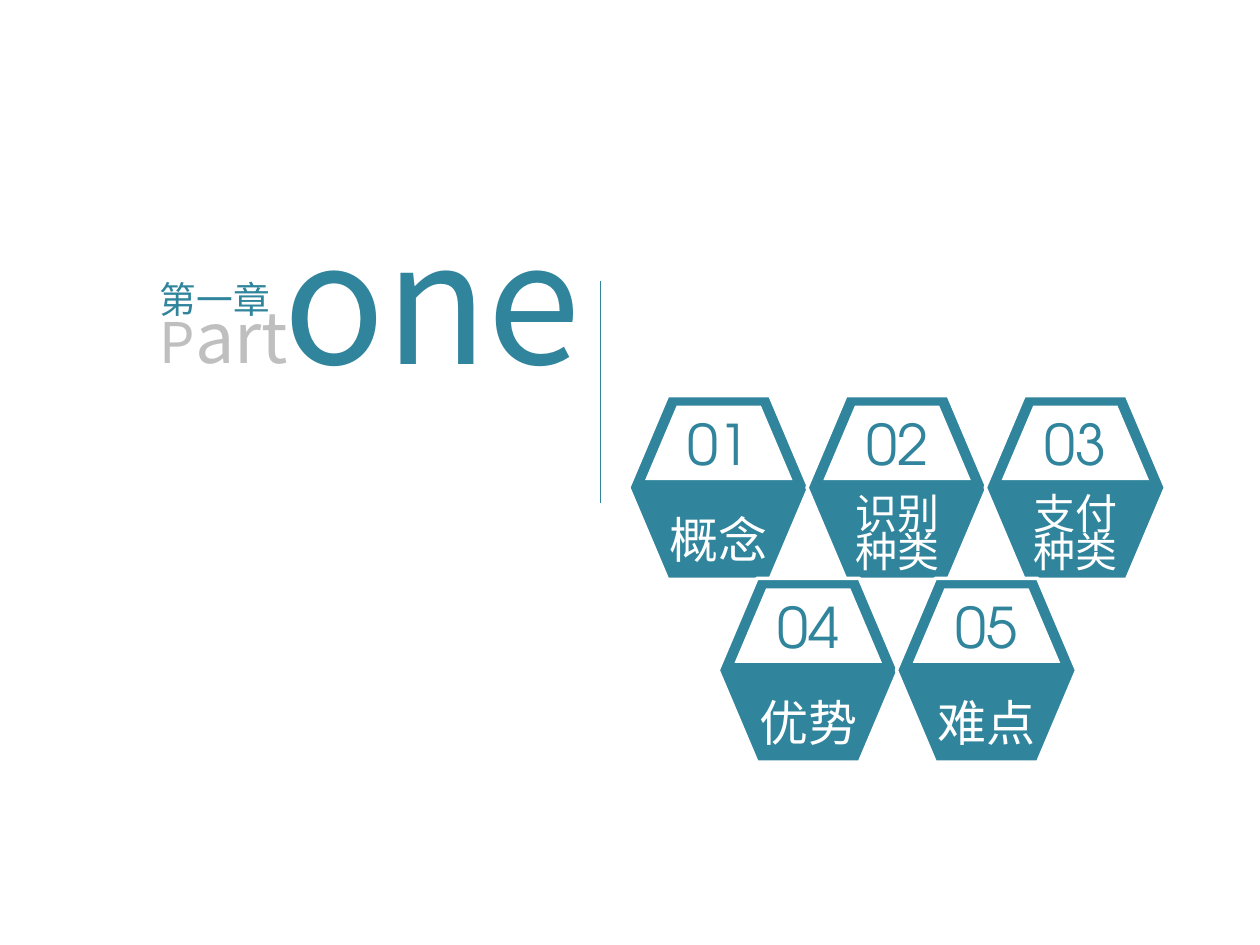
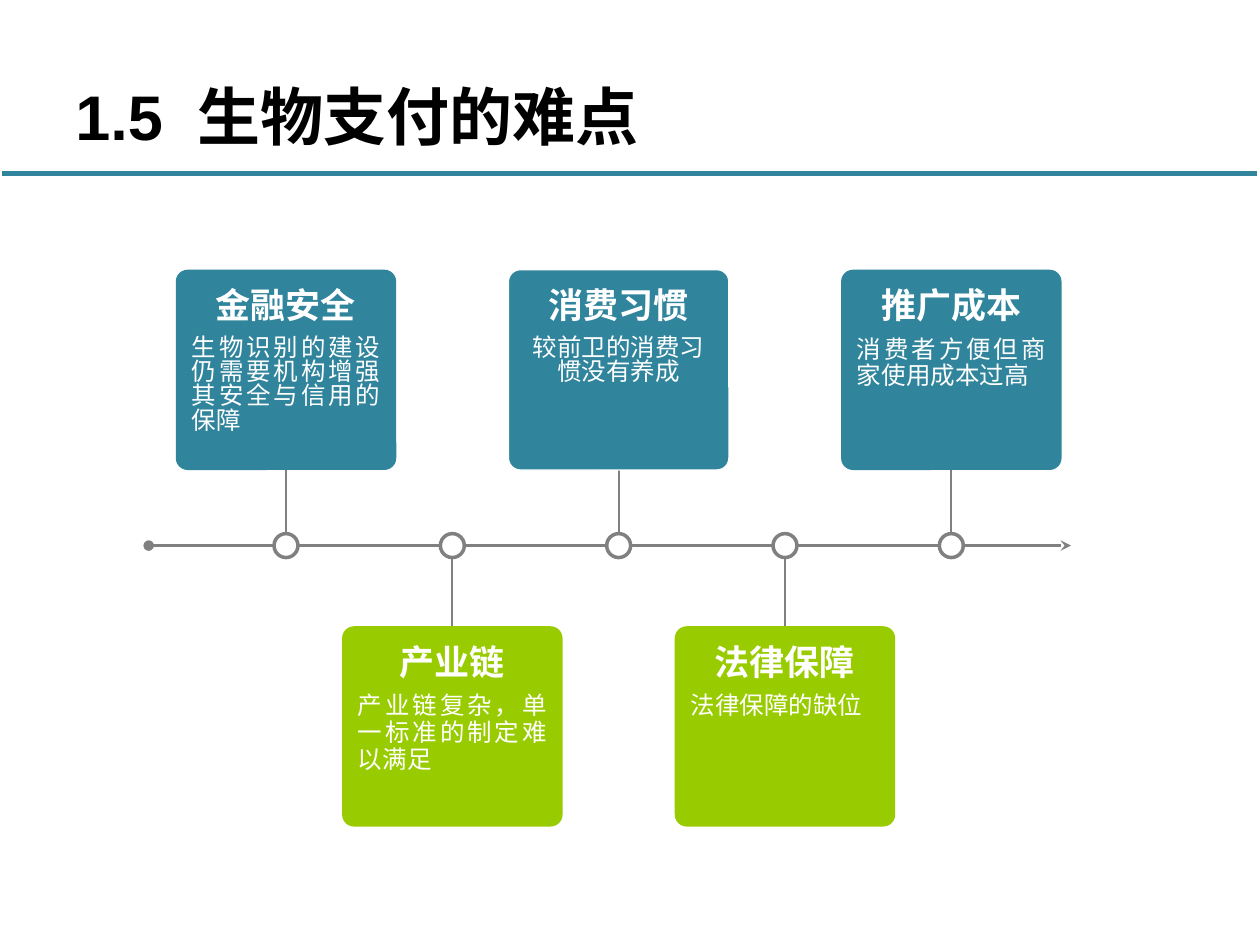
from dataclasses import dataclass

from pptx import Presentation
from pptx.dml.color import RGBColor
from pptx.enum.shapes import MSO_CONNECTOR, MSO_SHAPE
from pptx.enum.text import MSO_ANCHOR, PP_ALIGN
from pptx.oxml.ns import qn
from pptx.oxml.xmlchemy import OxmlElement
from pptx.util import Inches, Pt


@dataclass(frozen=True)
class Theme:
    teal: str = "30849C"
    green: str = "99CC00"
    gray: str = "808080"
    light_gray: str = "BFBFBF"
    white: str = "FFFFFF"
    black: str = "000000"
    chinese: str = "Noto Sans CJK SC"
    display: str = "Noto Sans CJK JP"
    number: str = "TeX Gyre Adventor"
    title: str = "Arial"
    title_size: int = 36
    number_size: int = 32
    heading_size: int = 20
    body_size: int = 14
    chapter_size: int = 21
    word_size: int = 96
    part_sizes: tuple = (32, 40)
    tight: float = 0.9


THEME = Theme()

HEXAGON_SIZE = (1.43, 1.46)
HEXAGON_PITCH = 1.415
# label, type size, line spacing
HEXAGON_ROWS = [
    (4.99, 3.14, [("概念", 28, 1.05), ("识别种类", 24, 0.75), ("支付种类", 24, 0.75)]),
    (5.7, 4.59, [("优势", 28, 1.05), ("难点", 28, 1.05)]),
]

AXIS_Y = 4.33
FIRST_NODE_X, NODE_PITCH, NODE_SIZE = 2.27, 1.32, 0.19
CARD_SIZE = (1.75, 1.59)
UPPER_CARD_Y, LOWER_CARD_Y = 2.14, 4.97
# heading, body, body alignment, body line spacing, outlined
DIFFICULTIES = [
    ("金融安全", "生物识别的建设仍需要机构增强其安全与信用的保障",
     PP_ALIGN.JUSTIFY, 0.83, False),
    ("产业链", "产业链复杂，单一标准的制定难以满足", PP_ALIGN.JUSTIFY, 0.91, False),
    ("消费习惯", "较前卫的消费习惯没有养成", PP_ALIGN.CENTER, 0.83, True),
    ("法律保障", "法律保障的缺位", PP_ALIGN.JUSTIFY, 0.91, False),
    ("推广成本", "消费者方便但商家使用成本过高", PP_ALIGN.JUSTIFY, 0.91, False),
]


def color(value):
    return RGBColor.from_string(value)


def style_paragraph(paragraph, size, text_color, name=THEME.chinese, east_asian=None,
                    bold=False, align=PP_ALIGN.LEFT, spacing=1.0):
    paragraph.alignment = align
    paragraph.line_spacing = spacing
    font = paragraph.font
    font.size, font.bold, font.name = Pt(size), bold, name
    font.color.rgb = color(text_color)
    typeface = OxmlElement("a:ea")
    typeface.set("typeface", east_asian or name)
    font._rPr.find(qn("a:latin")).addnext(typeface)


def set_frame(shape, insets, anchor=MSO_ANCHOR.TOP):
    """Set wrapping, anchor and the left, top, right and bottom insets."""
    frame = shape.text_frame
    frame.word_wrap = True
    frame.vertical_anchor = anchor
    (frame.margin_left, frame.margin_top,
     frame.margin_right, frame.margin_bottom) = map(Inches, insets)
    return frame


def add_text(slide, box, runs, size, text_color, anchor=MSO_ANCHOR.TOP, **style):
    shape = slide.shapes.add_textbox(*map(Inches, box))
    paragraph = set_frame(shape, (0.1, 0.05, 0.1, 0.05), anchor).paragraphs[0]
    for text in runs:
        paragraph.add_run().text = text
    style_paragraph(paragraph, size, text_color, **style)
    return paragraph


def paint(shape, fill, line=None, width=0):
    shape.shadow.inherit = False
    shape.fill.solid()
    shape.fill.fore_color.rgb = color(fill)
    if line:
        shape.line.color.rgb = color(line)
        shape.line.width = Pt(width)
    else:
        shape.line.fill.background()


def add_shape(slide, kind, box, fill, line=None, width=0):
    shape = slide.shapes.add_shape(kind, *map(Inches, box))
    paint(shape, fill, line, width)
    return shape


def add_line(slide, start, end, line_color, width, head=None, tail=None):
    line = slide.shapes.add_connector(
        MSO_CONNECTOR.STRAIGHT, *map(Inches, (*start, *end)))
    line.line.color.rgb = color(line_color)
    line.line.width = Pt(width)
    for tag, kind in (("a:headEnd", head), ("a:tailEnd", tail)):
        if kind:
            arrow = OxmlElement(tag)
            arrow.set("type", kind)
            line.line._get_or_add_ln().append(arrow)
    line._element.spPr.append(OxmlElement("a:effectLst"))


def add_hexagon(slide, x, y, number, label, size, spacing):
    """Draw a labelled hexagon with a white number panel in its upper half."""
    hexagon = add_shape(slide, MSO_SHAPE.HEXAGON, (x, y, *HEXAGON_SIZE),
                        THEME.teal, THEME.white, 2)
    hexagon.adjustments[0] = 0.216
    frame = set_frame(hexagon, (0, 0.79, 0, 0), MSO_ANCHOR.MIDDLE)
    frame.text = label
    style_paragraph(frame.paragraphs[0], size, THEME.white,
                    align=PP_ALIGN.CENTER, spacing=spacing)

    left, top, right, bottom = x + 0.13, y + 0.08, x + 1.3, y + 0.67
    corners = [(left + 0.25, top), (right - 0.25, top), (right, bottom), (left, bottom)]
    points = [tuple(map(Inches, corner)) for corner in corners]
    builder = slide.shapes.build_freeform(*points[0])
    builder.add_line_segments(points[1:], close=True)
    panel = builder.convert_to_shape()
    paint(panel, THEME.white)
    frame = set_frame(panel, (0, 0, 0, 0), MSO_ANCHOR.MIDDLE)
    frame.text = f"{number:02d}"
    style_paragraph(frame.paragraphs[0], THEME.number_size, THEME.teal,
                    THEME.number, align=PP_ALIGN.CENTER)


def add_card(slide, x, y, fill, heading, body, align, spacing, outlined):
    card = add_shape(slide, MSO_SHAPE.ROUNDED_RECTANGLE, (x, y, *CARD_SIZE), fill,
                     THEME.white if outlined else None, 0.75)
    card.adjustments[0] = 0.06
    frame = set_frame(card, (0.1, 0.12, 0.1, 0.12))
    frame.text = heading
    style_paragraph(frame.paragraphs[0], THEME.heading_size, THEME.white, bold=True,
                    align=PP_ALIGN.CENTER, spacing=THEME.tight)
    paragraph = frame.add_paragraph()
    paragraph.text = body
    paragraph.space_before = Pt(6)
    style_paragraph(paragraph, THEME.body_size, THEME.white, align=align, spacing=spacing)


def add_title(slide, number, text):
    paragraph = add_text(slide, (0.5, 0.47, 9, 0.89), [number, " ", text],
                         THEME.title_size, THEME.black, MSO_ANCHOR.MIDDLE,
                         name=THEME.title, east_asian=THEME.chinese, bold=True)
    # Widen the gap between number and title by 10 points
    paragraph.runs[1].font._rPr.set("spc", "1000")
    add_line(slide, (0.02, 1.38), (9.98, 1.38), THEME.teal, 3)


def add_blank_slide(presentation):
    return presentation.slides.add_slide(presentation.slide_layouts[6])


def build_chapter_slide(presentation):
    slide = add_blank_slide(presentation)
    initial_size, rest_size = THEME.part_sizes
    part = add_text(slide, (1.17, 2.36, 1.4, 0.77), ["P", "art"], rest_size,
                    THEME.light_gray, name=THEME.display, spacing=THEME.tight)
    part.runs[0].font.size = Pt(initial_size)
    add_text(slide, (1.17, 2.19, 1.4, 0.47), ["第一章"], THEME.chapter_size,
             THEME.teal, spacing=THEME.tight)
    add_text(slide, (2.15, 1.69, 2.7, 1.72), ["one"], THEME.word_size, THEME.teal,
             name=THEME.display, spacing=THEME.tight)
    add_line(slide, (4.76, 2.23), (4.76, 3.99), THEME.teal, 0.25)

    number = 0
    for left, top, labels in HEXAGON_ROWS:
        for column, label in enumerate(labels):
            number += 1
            add_hexagon(slide, left + column * HEXAGON_PITCH, top, number, *label)


def build_difficulties_slide(presentation):
    slide = add_blank_slide(presentation)
    nodes = [FIRST_NODE_X + index * NODE_PITCH for index in range(len(DIFFICULTIES))]
    for index, x in enumerate(nodes):
        start, end = (5.07, 4.4) if index % 2 else (3.6, 4.27)
        add_line(slide, (x, start), (x, end), THEME.gray, 1)
    add_line(slide, (1.18, AXIS_Y), (8.5, AXIS_Y), THEME.gray, 2, "oval", "stealth")
    for x in nodes:
        add_shape(slide, MSO_SHAPE.OVAL,
                  (x - NODE_SIZE / 2, AXIS_Y - NODE_SIZE / 2, NODE_SIZE, NODE_SIZE),
                  THEME.white, THEME.gray, 2)
    for index, (x, difficulty) in enumerate(zip(nodes, DIFFICULTIES)):
        y, fill = ((LOWER_CARD_Y, THEME.green) if index % 2
                   else (UPPER_CARD_Y, THEME.teal))
        add_card(slide, x - CARD_SIZE[0] / 2, y, fill, *difficulty)
    add_title(slide, "1.5", "生物支付的难点")


def main():
    presentation = Presentation()
    presentation.slide_width, presentation.slide_height = Inches(10), Inches(7.5)
    build_chapter_slide(presentation)
    build_difficulties_slide(presentation)
    presentation.save("out.pptx")


if __name__ == "__main__":
    main()
